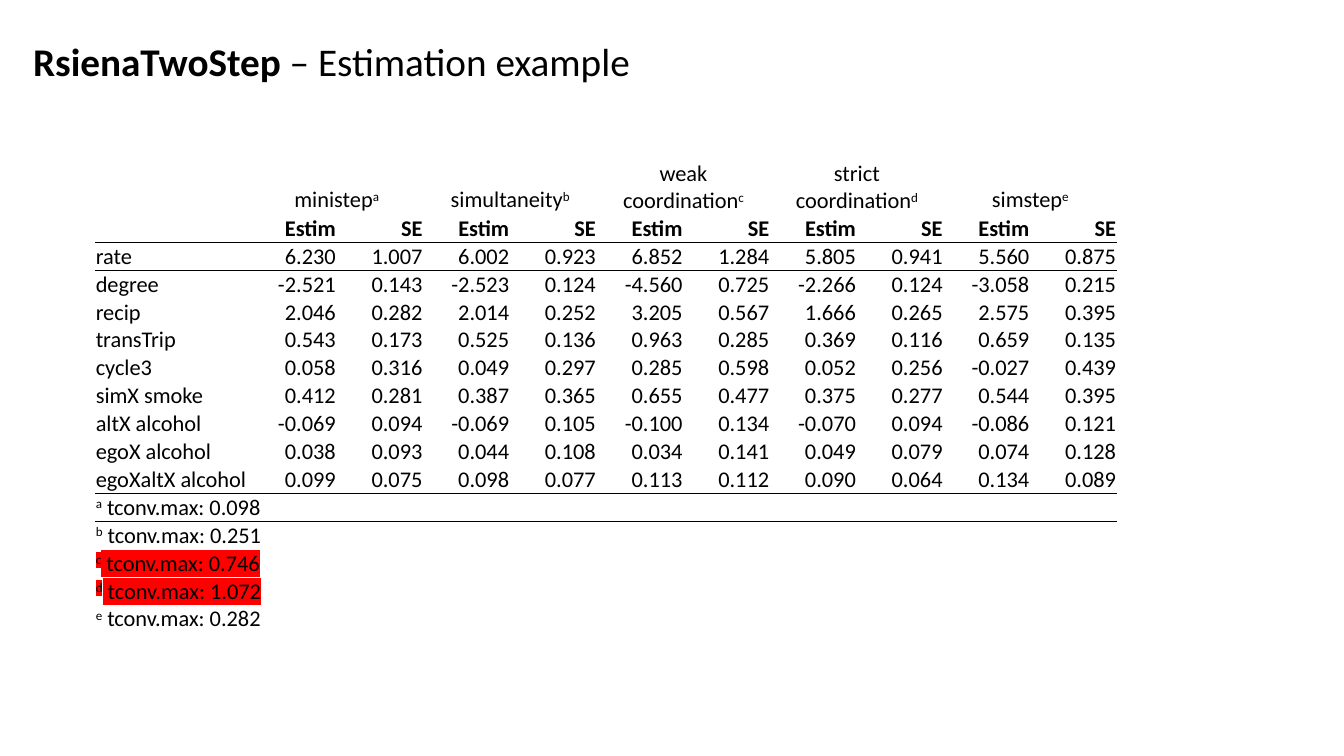
from lxml import etree
from pptx import Presentation
from pptx import util as u
from pptx.dml import color
from pptx.enum import text
from pptx.oxml import ns

HUES = {"ink": "000000", "paper": "FFFFFF", "alert": "FF0000"}
PLAIN = "{2D5ABB26-0587-4C30-8999-92F81FD0307C}"  # no style, no grid
LEFT, MID, RIGHT = text.PP_ALIGN.LEFT, text.PP_ALIGN.CENTER, text.PP_ALIGN.RIGHT
CELL = {
    "margin_left": u.Inches(0.01),
    "margin_right": u.Inches(0.01),
    "margin_top": u.Inches(0.01),
    "margin_bottom": u.Inches(0),
    "vertical_anchor": text.MSO_ANCHOR.MIDDLE,
}

MODELS = [("ministep", "a"), ("simultaneity", "b"), ("weak coordination", "c"),
          ("strict coordination", "d"), ("simstep", "e")]
EFFECTS = [
    ("rate", "6.230 1.007 6.002 0.923 6.852 1.284 5.805 0.941 5.560 0.875"),
    ("degree", "-2.521 0.143 -2.523 0.124 -4.560 0.725 -2.266 0.124 -3.058 0.215"),
    ("recip", "2.046 0.282 2.014 0.252 3.205 0.567 1.666 0.265 2.575 0.395"),
    ("transTrip", "0.543 0.173 0.525 0.136 0.963 0.285 0.369 0.116 0.659 0.135"),
    ("cycle3", "0.058 0.316 0.049 0.297 0.285 0.598 0.052 0.256 -0.027 0.439"),
    ("simX smoke", "0.412 0.281 0.387 0.365 0.655 0.477 0.375 0.277 0.544 0.395"),
    ("altX alcohol", "-0.069 0.094 -0.069 0.105 -0.100 0.134 -0.070 0.094 -0.086 0.121"),
    ("egoX alcohol", "0.038 0.093 0.044 0.108 0.034 0.141 0.049 0.079 0.074 0.128"),
    ("egoXaltX alcohol", "0.099 0.075 0.098 0.077 0.113 0.112 0.090 0.064 0.134 0.089"),
]
NOTES = [("a", "0.098", None), ("b", "0.251", None), ("c", "0.746", "alert"),
         ("d", "1.072", "alert"), ("e", "0.282", None)]


class Deck:
    def __init__(self, face, size):
        self.face, self.size = face, size
        self.prs = Presentation()
        self.prs.slide_width = u.Inches(13.33)
        self.prs.slide_height = u.Inches(7.5)
        self.slide = self.prs.slides.add_slide(self.prs.slide_layouts[6])

    def hue(self, parent, name):
        fill = etree.SubElement(parent, ns.qn("a:srgbClr"))
        fill.set("val", HUES[name])

    def run(self, para, words, size=None, bold=False, sup=False, mark=None):
        run = para.add_run()
        run.text = words
        form = {"name": self.face, "size": u.Pt(size or self.size), "bold": bold}
        for key, val in form.items():
            setattr(run.font, key, val)
        run.font.color.rgb = color.RGBColor.from_string(HUES["ink"])
        props = run._r.get_or_add_rPr()
        if sup:
            props.set("baseline", "30000")
        if mark:
            glow = etree.Element(ns.qn("a:highlight"))
            self.hue(glow, mark)
            props.find(ns.qn("a:latin")).addprevious(glow)

    def title(self, name, rest, box):
        frame = self.slide.shapes.add_textbox(*map(u.Inches, box)).text_frame
        frame.word_wrap = True
        frame.auto_size = text.MSO_AUTO_SIZE.SHAPE_TO_FIT_TEXT
        para = frame.paragraphs[0]
        self.run(para, name, 28, bold=True)
        self.run(para, rest, 28)

    def table(self, box, cols, rows):
        shape = self.slide.shapes.add_table(len(rows), len(cols), *map(u.Inches, box))
        grid = shape.table
        grid.first_row = grid.horz_banding = False
        grid._tbl.tblPr.find(ns.qn("a:tableStyleId")).text = PLAIN
        for col, width in zip(grid.columns, cols):
            col.width = u.Inches(width)
        for row, height in zip(grid.rows, rows):
            row.height = u.Inches(height)
        for cell in grid.iter_cells():
            for key, val in CELL.items():
                setattr(cell, key, val)
            cell.fill.background()
            end = cell.text_frame.paragraphs[0]._p.get_or_add_endParaRPr()
            end.set("sz", str(self.size * 100))
        return grid

    def cell(self, cell, align=LEFT):
        para = cell.text_frame.paragraphs[0]
        para.alignment = align
        return para

    def rule(self, row, side):
        for cell in row.cells:
            line = etree.Element(ns.qn("a:ln" + side), w=str(u.Pt(0.5)))
            self.hue(etree.SubElement(line, ns.qn("a:solidFill")), "ink")
            cell._tc.get_or_add_tcPr().insert(0, line)


def main():
    deck = Deck("Calibri", 16)
    deck.title("RsienaTwoStep", " – Estimation example", (0.23, 0.32, 13.11, 0.57))

    # Empty grid: tall model row, then even rows
    count = 1 + len(EFFECTS) + len(NOTES)
    grid = deck.table((0.94, 1.58, 10.16, 4.67),
                      [1.54] + [0.86] * 2 * len(MODELS), [0.54] + [0.27] * count)

    # Model names over pairs of columns
    for i, (model, ref) in enumerate(MODELS):
        left = 1 + 2 * i
        head = grid.cell(0, left)
        head.merge(grid.cell(0, left + 1))
        head.vertical_anchor = text.MSO_ANCHOR.BOTTOM
        para = deck.cell(head, MID)
        deck.run(para, model)
        deck.run(para, ref, sup=True)
        for j, label in enumerate(("Estim", "SE")):
            deck.run(deck.cell(grid.cell(1, left + j), RIGHT), label, bold=True)
    for cell in grid.rows[1].cells:
        cell.fill.solid()
        cell.fill.fore_color.rgb = color.RGBColor.from_string(HUES["paper"])

    # Estimates
    for r, (effect, vals) in enumerate(EFFECTS, 2):
        deck.run(deck.cell(grid.cell(r, 0)), effect)
        for c, val in enumerate(vals.split(), 1):
            deck.run(deck.cell(grid.cell(r, c), RIGHT), val)

    # Convergence notes
    first = 2 + len(EFFECTS)
    for r, (ref, val, mark) in enumerate(NOTES, first):
        note = grid.cell(r, 0)
        note.merge(grid.cell(r, 4))
        para = deck.cell(note)
        deck.run(para, ref, sup=True, mark=mark)
        deck.run(para, f" tconv.max: {val}", mark=mark)

    # Rules above and below the estimates
    for r in (2, first):
        deck.rule(grid.rows[r - 1], "B")
        deck.rule(grid.rows[r], "T")

    deck.prs.save("out.pptx")


if __name__ == "__main__":
    main()
